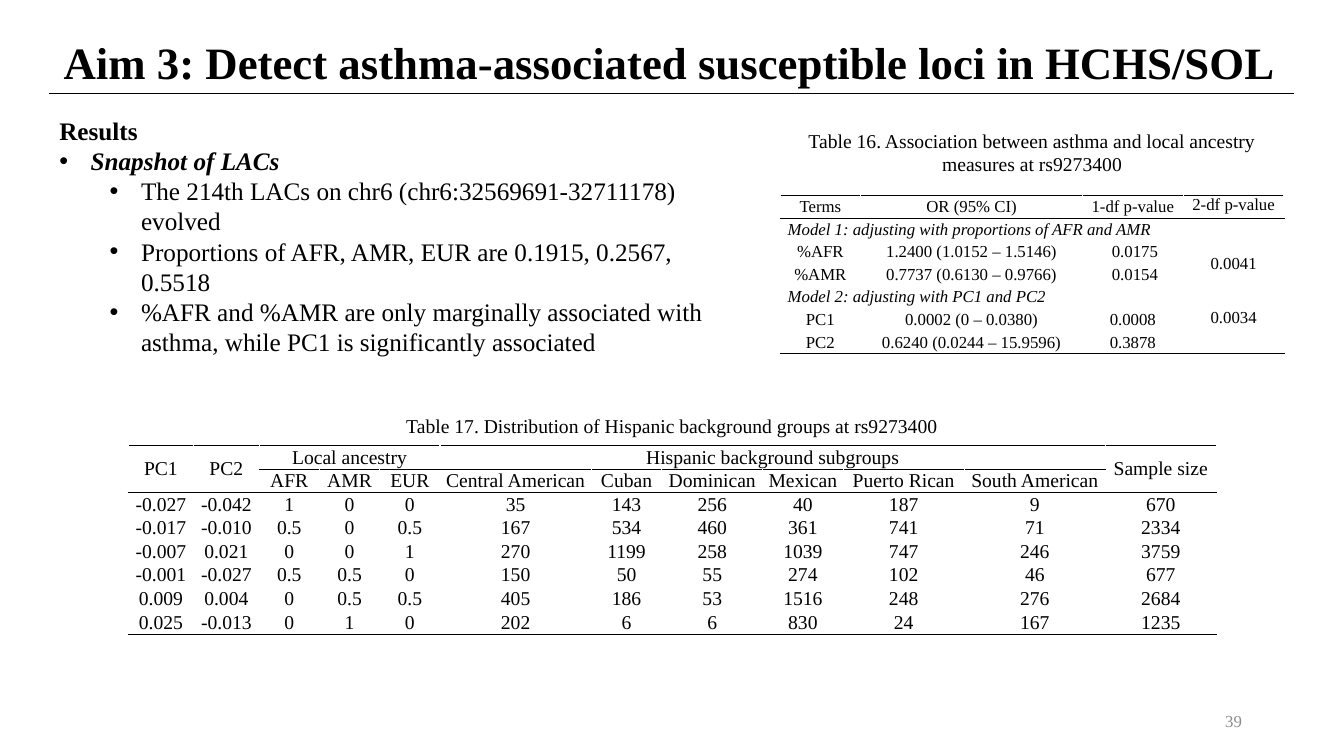
"""Builds the slide on asthma-associated loci with its two result tables."""
import lxml.etree
import pptx
import pptx.dml.color
import pptx.enum.shapes
import pptx.enum.text
import pptx.oxml.ns
import pptx.util

Cm = pptx.util.Cm
Pt = pptx.util.Pt
ALIGN = pptx.enum.text.PP_ALIGN
ANCHOR = pptx.enum.text.MSO_ANCHOR
qn = pptx.oxml.ns.qn

FONT = "Times New Roman"
BLACK, WHITE, GREY = "000000", "FFFFFF", "8C8C8C"

TITLE = "Aim 3: Detect asthma-associated susceptible loci in HCHS/SOL"
RESULTS = [
    ("heading", "Results"),
    ("topic", "Snapshot of LACs"),
    ("finding", "The 214th LACs on chr6 (chr6:32569691-32711178) evolved"),
    ("finding", "Proportions of AFR, AMR, EUR are 0.1915, 0.2567, 0.5518"),
    ("finding", "%AFR and %AMR are only marginally associated with asthma, "
                "while PC1 is significantly associated"),
]
BULLET_INDENT = {"topic": 0.79, "finding": 2.06}
HANGING = 0.79

CAPTIONS = [
    ("Table 17. Distribution of Hispanic background groups at rs9273400",
     (9.93, 10.31, 14.02, 0.86), False),
    ("Table 16. Association between asthma and local ancestry measures at rs9273400",
     (19.99, 3.12, 12.04, 1.45), True),
]
PAGE_NUMBER = "39"

BACKGROUND_GROUPS = {
    "place": (3.23, 11.23), "widths": [1.65, 1.65, 1.52, 1.52, 1.52, 3.81, 1.78, 2.54, 2.03,
                                       3.05, 3.56, 2.79],
    "row_height": 0.59, "size": 14, "side_margin": 0.13, "header_rows": 2,
    "merges": [(0, 0, 1, 0), (0, 1, 1, 1), (0, 2, 0, 4), (0, 5, 0, 10), (0, 11, 1, 11)],
    "top_cells": [],
    "rows": [
        ["PC1", "PC2", "Local ancestry", "", "", "Hispanic background subgroups",
         "", "", "", "", "", "Sample size"],
        ["", "", "AFR", "AMR", "EUR", "Central American", "Cuban", "Dominican",
         "Mexican", "Puerto Rican", "South American", ""],
        ["-0.027", "-0.042", "1", "0", "0", "35", "143", "256", "40", "187", "9", "670"],
        ["-0.017", "-0.010", "0.5", "0", "0.5", "167", "534", "460", "361", "741", "71", "2334"],
        ["-0.007", "0.021", "0", "0", "1", "270", "1199", "258", "1039", "747", "246", "3759"],
        ["-0.001", "-0.027", "0.5", "0.5", "0", "150", "50", "55", "274", "102", "46", "677"],
        ["0.009", "0.004", "0", "0.5", "0.5", "405", "186", "53", "1516", "248", "276", "2684"],
        ["0.025", "-0.013", "0", "1", "0", "202", "6", "6", "830", "24", "167", "1235"],
    ],
}
ASSOCIATION = {
    "place": (19.66, 4.93), "widths": [2.03, 5.59, 2.54, 2.54],
    "row_height": 0.57, "size": 12, "side_margin": 0.19, "header_rows": 1,
    "merges": [(1, 0, 1, 3), (2, 3, 3, 3), (4, 0, 4, 3), (5, 3, 6, 3)],
    "top_cells": [(0, 3), (5, 3)],
    "rows": [
        ["Terms", "OR (95% CI)", "1-df p-value", "2-df p-value"],
        ["Model 1: adjusting with proportions of AFR and AMR", "", "", ""],
        ["%AFR", "1.2400 (1.0152 – 1.5146)", " 0.0175", "0.0041"],
        ["%AMR", "0.7737 (0.6130 – 0.9766)", " 0.0154", ""],
        ["Model 2: adjusting with PC1 and PC2", "", "", ""],
        ["PC1", "0.0002 (0 – 0.0380)", "0.0008", "0.0034"],
        ["PC2", "0.6240 (0.0244 – 15.9596)", "0.3878", ""],
    ],
}


def rgb(color):
    return pptx.dml.color.RGBColor.from_string(color)


def style(paragraph, size, color=BLACK, bold=False, italic=False, align=ALIGN.LEFT):
    paragraph.alignment = align
    font = paragraph.font
    font.name, font.size, font.bold, font.italic = FONT, Pt(size), bold, italic
    font.color.rgb = rgb(color)


def move(shape, place):
    shape.left, shape.top, shape.width, shape.height = (Cm(length) for length in place)


def set_bullet(paragraph, indent):
    properties = paragraph._p.get_or_add_pPr()
    properties.set("marL", str(Cm(indent)))
    properties.set("indent", str(-Cm(HANGING) if indent else 0))
    if indent:
        lxml.etree.SubElement(properties, qn("a:buFont")).set("typeface", "Arial")
        lxml.etree.SubElement(properties, qn("a:buChar")).set("char", "•")
    else:
        lxml.etree.SubElement(properties, qn("a:buNone"))


def set_borders(cell, black_sides):
    properties = cell._tc.get_or_add_tcPr()
    for position, side in enumerate("LRTB"):
        line = lxml.etree.Element(qn(f"a:ln{side}"), w=str(Pt(1)))
        fill = lxml.etree.SubElement(line, qn("a:solidFill"))
        color = BLACK if side in black_sides else WHITE
        lxml.etree.SubElement(fill, qn("a:srgbClr")).set("val", color)
        properties.insert(position, line)


def add_text(slide, text, place, wrap, size, color, align, anchor=ANCHOR.TOP):
    box = slide.shapes.add_textbox(*(Cm(length) for length in place))
    frame = box.text_frame
    frame.word_wrap, frame.vertical_anchor = wrap, anchor
    frame.text = text
    style(frame.paragraphs[0], size, color, align=align)


def add_results_table(slide, content):
    rows, widths = content["rows"], content["widths"]
    left, top = content["place"]
    height = content["row_height"]
    table = slide.shapes.add_table(len(rows), len(widths), Cm(left), Cm(top),
                                   Cm(sum(widths)), Cm(height * len(rows))).table
    table.first_row = table.horz_banding = False
    for column, width in zip(table.columns, widths):
        column.width = Cm(width)
    for row in table.rows:
        row.height = Cm(height)
    for row1, col1, row2, col2 in content["merges"]:
        table.cell(row1, col1).merge(table.cell(row2, col2))
    for r, row in enumerate(rows):
        for c, text in enumerate(row):
            cell = table.cell(r, c)
            cell.text = text
            cell.margin_left = cell.margin_right = Cm(content["side_margin"])
            cell.margin_top = cell.margin_bottom = 0
            cell.vertical_anchor = ANCHOR.TOP if (r, c) in content["top_cells"] else ANCHOR.MIDDLE
            model = text.startswith("Model")
            style(cell.text_frame.paragraphs[0], content["size"], italic=model,
                  align=ALIGN.LEFT if model else ALIGN.CENTER)
            cell.fill.background()
            last = r + (cell.span_height if cell.is_merge_origin else 1) - 1
            top_side = "T" if r <= content["header_rows"] else ""
            bottom_side = "B" if last < content["header_rows"] or last == len(rows) - 1 else ""
            set_borders(cell, top_side + bottom_side)


def main():
    deck = pptx.Presentation()
    deck.slide_width, deck.slide_height = Cm(33.87), Cm(19.05)
    slide = deck.slides.add_slide(deck.slide_layouts[1])

    title, results = slide.placeholders
    move(title, (1.35, 0.74, 31.32, 1.63))
    title.text_frame.text = TITLE
    title.text_frame.word_wrap = False
    title.text_frame.vertical_anchor = ANCHOR.TOP
    style(title.text_frame.paragraphs[0], 32, bold=True)

    rule = slide.shapes.add_connector(pptx.enum.shapes.MSO_CONNECTOR.STRAIGHT,
                                      Cm(1.24), Cm(2.36), Cm(32.61), Cm(2.36))
    rule.line.color.rgb, rule.line.width = rgb(BLACK), Pt(0.75)
    lxml.etree.SubElement(rule._element.spPr, qn("a:effectLst"))

    move(results, (1.24, 2.77, 16.99, 6.4))
    frame = results.text_frame
    frame.text = "\n".join(text for _, text in RESULTS)
    frame.auto_size = pptx.enum.text.MSO_AUTO_SIZE.NONE
    for paragraph, (role, _) in zip(frame.paragraphs, RESULTS):
        paragraph.level = int(role == "finding")
        set_bullet(paragraph, BULLET_INDENT.get(role, 0))
        paragraph.space_before = Pt(0)
        style(paragraph, 18, bold=role != "finding", italic=role == "topic")

    add_text(slide, PAGE_NUMBER, (23.93, 17.65, 7.62, 1.02), True, 12, GREY,
             ALIGN.RIGHT, ANCHOR.MIDDLE)
    for text, place, wrap in CAPTIONS:
        add_text(slide, text, place, wrap, 14, BLACK, ALIGN.CENTER)
    for content in (BACKGROUND_GROUPS, ASSOCIATION):
        add_results_table(slide, content)

    deck.save("out.pptx")


if __name__ == "__main__":
    main()
